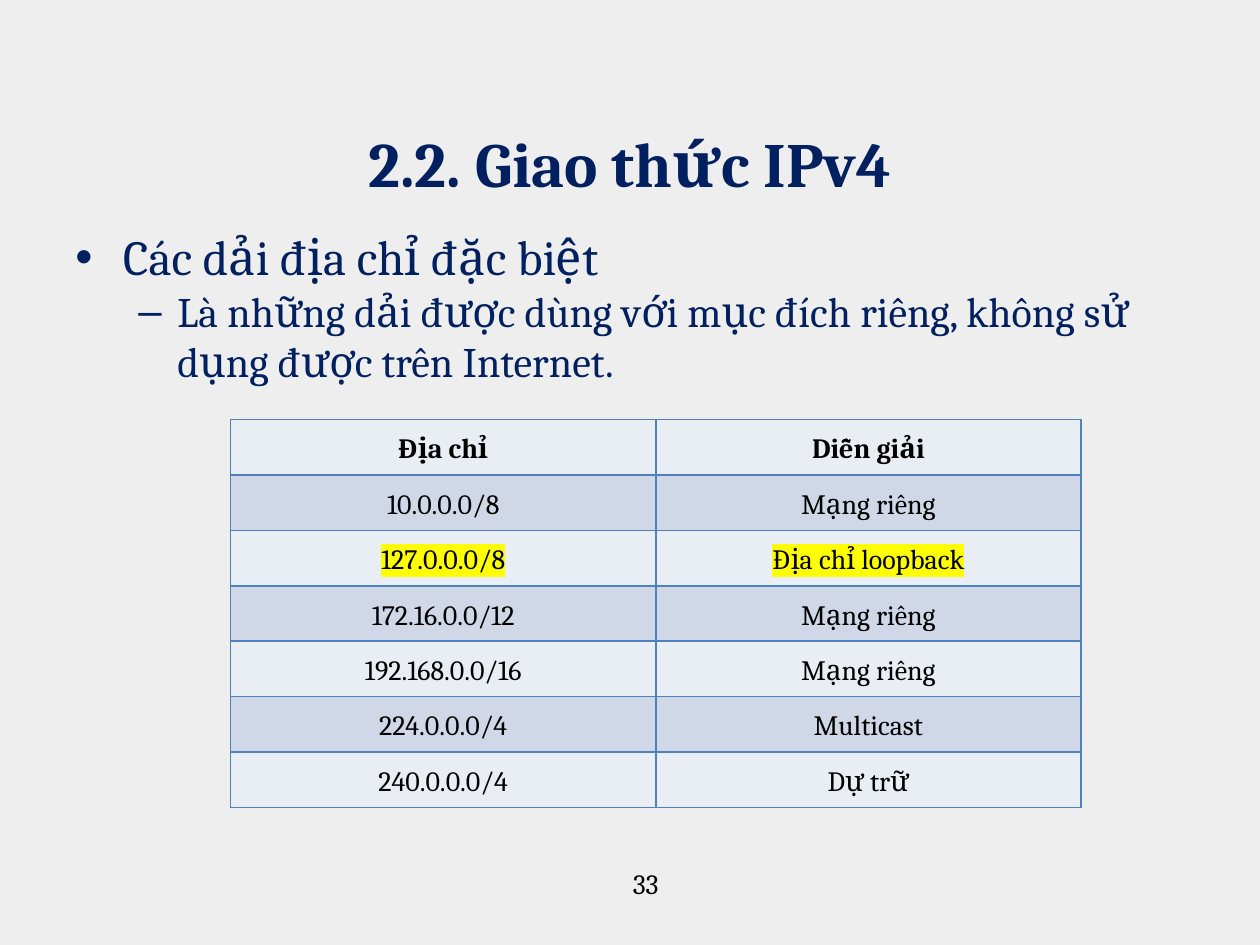
from dataclasses import dataclass

from lxml.etree import SubElement
from pptx import Presentation
from pptx.dml.color import RGBColor
from pptx.enum.text import MSO_ANCHOR, PP_ALIGN
from pptx.oxml import parse_xml
from pptx.oxml.ns import nsdecls, qn
from pptx.util import Inches, Pt

FONT = "Cambria"
COLORS = {
    "background": "EEEEEE",
    "navy": "002060",
    "black": "000000",
    "border": "4F81BD",
    "light": "E9EDF4",
    "dark": "D0D8E8",
    "highlight": "FFFF00",
}


@dataclass
class Bullet:
    text: str
    size: int
    char: str
    margin: float
    hanging: float
    level: int = 0


@dataclass
class AddressRange:
    address: str
    meaning: str
    bold: bool = False
    highlighted: bool = False


BULLETS = [
    Bullet("Các dải địa chỉ đặc biệt", 28, "•", 0.38, 0.38),
    Bullet("Là những dải được dùng với mục đích riêng, "
           "không sử dụng được trên Internet.", 24, "–", 0.81, 0.31, level=1),
]
RANGES = [
    AddressRange("Địa chỉ", "Diễn giải", bold=True),
    AddressRange("10.0.0.0/8", "Mạng riêng"),
    AddressRange("127.0.0.0/8", "Địa chỉ loopback", highlighted=True),
    AddressRange("172.16.0.0/12", "Mạng riêng"),
    AddressRange("192.168.0.0/16", "Mạng riêng"),
    AddressRange("224.0.0.0/4", "Multicast"),
    AddressRange("240.0.0.0/4", "Dự trữ"),
]


def rgb(name: str) -> RGBColor:
    return RGBColor.from_string(COLORS[name])


def add_run(p, text: str, size: int, color: str, bold: bool = False):
    r = p.add_run()
    r.text = text
    r.font.size = Pt(size)
    r.font.name = FONT
    r.font.bold = bold
    r.font.color.rgb = rgb(color)
    return r


def add_text_frame(s, left: float, top: float, width: float, height: float,
                   anchor=MSO_ANCHOR.TOP):
    box = s.shapes.add_textbox(Inches(left), Inches(top), Inches(width), Inches(height))
    tf = box.text_frame
    tf.word_wrap = True
    tf.vertical_anchor = anchor
    return tf


def add_centered_text(tf, text: str, size: int, color: str, bold: bool = False) -> None:
    p = tf.paragraphs[0]
    p.alignment = PP_ALIGN.CENTER
    add_run(p, text, size, color, bold)


def add_bullets(tf, bullets: list[Bullet]) -> None:
    for i, bullet in enumerate(bullets):
        p = tf.add_paragraph() if i else tf.paragraphs[0]
        p.level = bullet.level
        pPr = p._p.get_or_add_pPr()
        pPr.set("marL", str(Inches(bullet.margin)))
        pPr.set("indent", str(-Inches(bullet.hanging)))
        SubElement(pPr, qn("a:buFont"), typeface="Arial")
        SubElement(pPr, qn("a:buChar"), char=bullet.char)
        add_run(p, bullet.text, bullet.size, "navy")


def highlight(r) -> None:
    """Put a marker colour behind a run; it must follow the run's fill."""
    r._r.rPr.find(qn("a:solidFill")).addnext(parse_xml(
        f'<a:highlight {nsdecls("a")}><a:srgbClr val="{COLORS["highlight"]}"/></a:highlight>'))


def set_borders(cell) -> None:
    """Line all four sides; the lines must come before the cell's fill."""
    tcPr = cell._tc.get_or_add_tcPr()
    for i, side in enumerate("LRTB"):
        tcPr.insert(i, parse_xml(
            f'<a:ln{side} {nsdecls("a")} w="{Pt(1)}"><a:solidFill>'
            f'<a:srgbClr val="{COLORS["border"]}"/></a:solidFill></a:ln{side}>'))


def fill_cell(cell, text: str, row: AddressRange, fill: str) -> None:
    cell.fill.solid()
    cell.fill.fore_color.rgb = rgb(fill)
    set_borders(cell)
    cell.vertical_anchor = MSO_ANCHOR.MIDDLE
    cell.margin_left = cell.margin_right = Inches(0.07)
    cell.margin_top = cell.margin_bottom = 0
    p = cell.text_frame.paragraphs[0]
    p.alignment = PP_ALIGN.CENTER
    p.line_spacing = 1.15
    p.space_before = p.space_after = Pt(5)
    r = add_run(p, text, 16, "black", row.bold)
    if row.highlighted:
        highlight(r)


def add_address_table(s, rows: list[AddressRange]) -> None:
    table = s.shapes.add_table(len(rows), 2, Inches(1.83), Inches(3.33),
                               Inches(6.75), Inches(0.44 * len(rows))).table
    for i, row in enumerate(rows):
        fill = "dark" if i % 2 else "light"
        for j, text in enumerate((row.address, row.meaning)):
            fill_cell(table.cell(i, j), text, row, fill)


def main() -> None:
    prs = Presentation()
    prs.slide_width, prs.slide_height = Inches(10), Inches(7.5)
    s = prs.slides.add_slide(prs.slide_layouts[6])
    s.background.fill.solid()
    s.background.fill.fore_color.rgb = rgb("background")

    add_bullets(add_text_frame(s, 0.5, 1.75, 8.83, 5.25), BULLETS)
    title = add_text_frame(s, 0.5, 0.39, 9, 1.25, MSO_ANCHOR.BOTTOM)
    add_centered_text(title, "2.2. Giao thức IPv4", 36, "navy", bold=True)
    page_number = add_text_frame(s, 0.75, 6.83, 8.75, 0.52)
    add_centered_text(page_number, "33", 16, "black")
    add_address_table(s, RANGES)

    prs.save("out.pptx")


if __name__ == "__main__":
    main()
